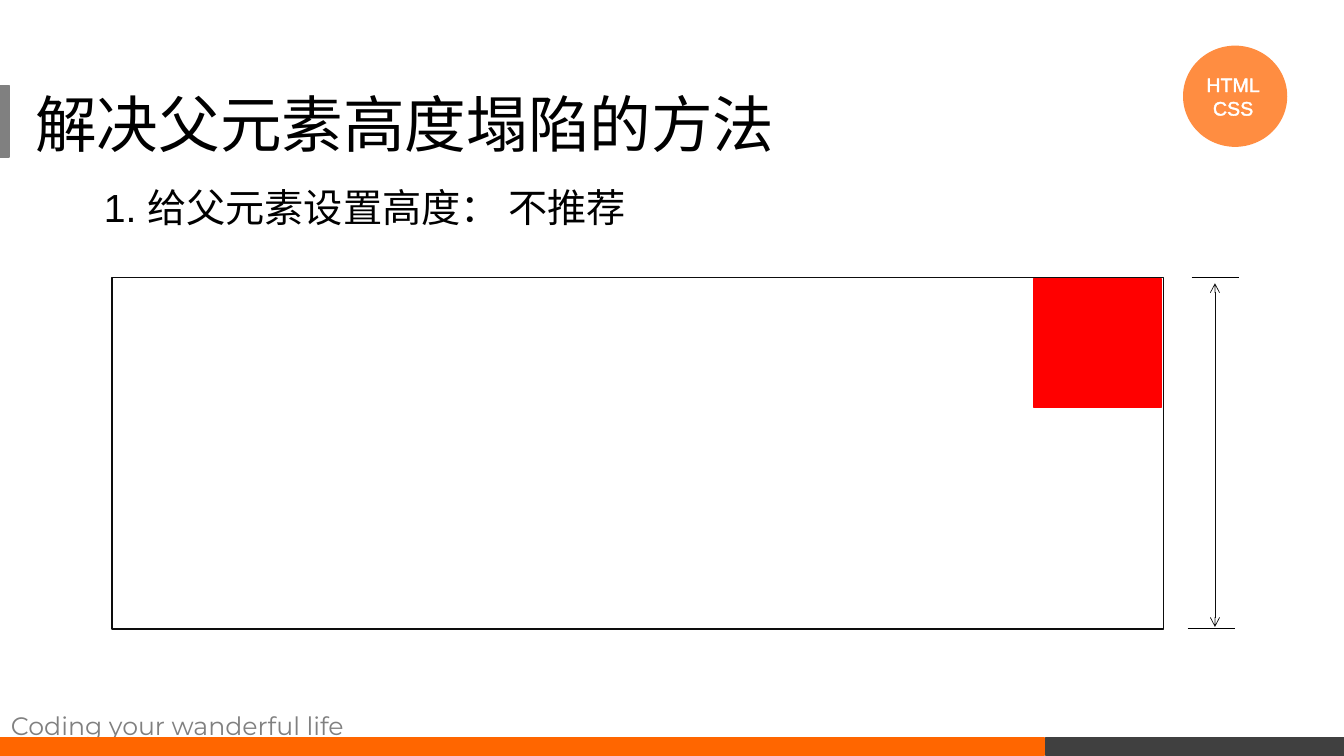
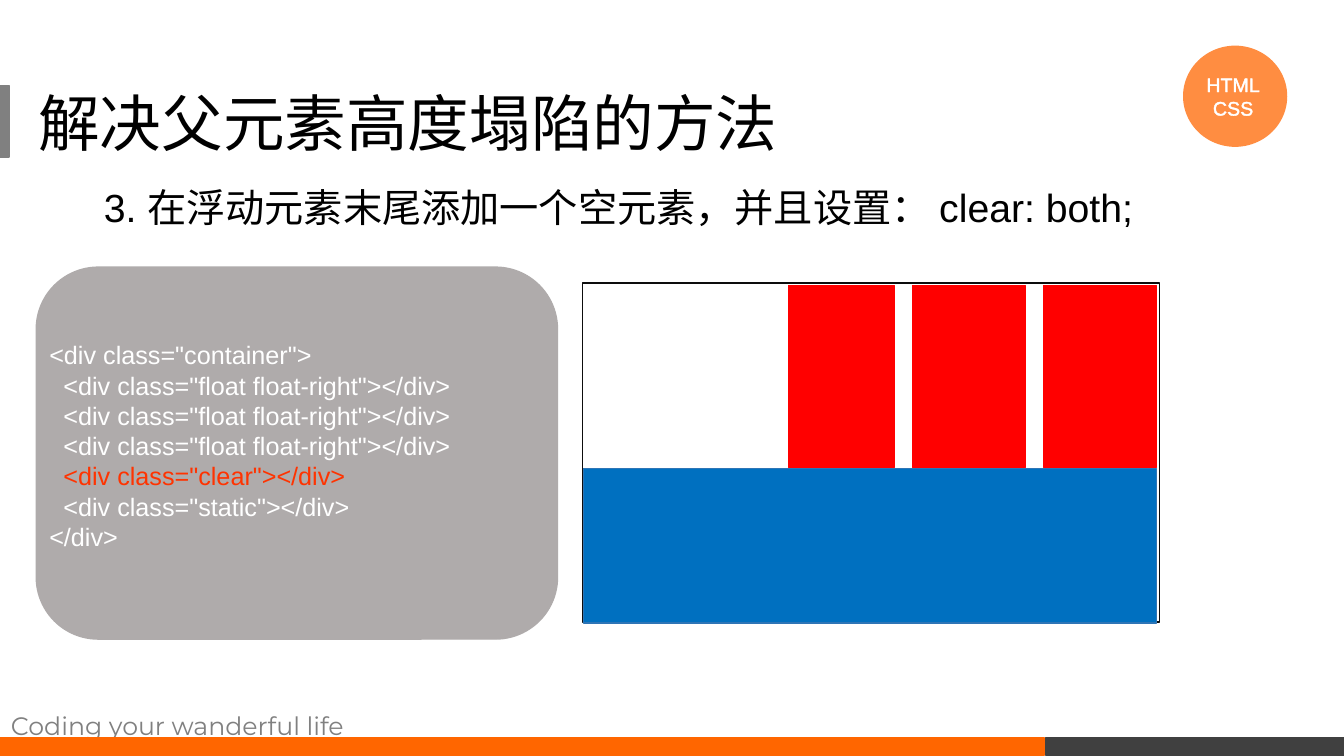
from lxml import etree
from pptx import Presentation
from pptx.dml.color import RGBColor
from pptx.enum.shapes import MSO_CONNECTOR, MSO_SHAPE
from pptx.enum.text import MSO_ANCHOR, MSO_AUTO_SIZE, PP_ALIGN
from pptx.oxml.ns import qn
from pptx.util import Inches, Pt

RECTANGLE, ELLIPSE, ROUNDED = MSO_SHAPE.RECTANGLE, MSO_SHAPE.OVAL, MSO_SHAPE.ROUNDED_RECTANGLE
STRAIGHT = MSO_CONNECTOR.STRAIGHT
TOP, BOTTOM = MSO_ANCHOR.TOP, MSO_ANCHOR.BOTTOM
LEFT, CENTER = PP_ALIGN.LEFT, PP_ALIGN.CENTER
NO_FIT = MSO_AUTO_SIZE.NONE
TITLE_AND_CONTENT = 1

COLORS = {
    "white": "FFFFFF", "black": "000000", "ink": "0D0D0D", "gray": "808080",
    "charcoal": "404040", "orange": "FF6600", "badge": "FF8D41", "red": "FF0000",
    "blue": "0070C0", "blue edge": "2E75B6", "panel": "AFABAB", "highlight": "FF3300",
}
FRAME = {"word_wrap": True, "auto_size": NO_FIT, "vertical_anchor": TOP}
PARAGRAPH = {"alignment": LEFT, "line_spacing": 1.0, "space_before": Pt(0), "space_after": Pt(0)}
TITLE = "解决父元素高度塌陷的方法"
CODE_INDENT = 0.14


def rgb(name):
    """Return the named colour."""
    return RGBColor.from_string(COLORS[name])


def apply(target, values):
    """Set each attribute of target from a dict."""
    for name, value in values.items():
        setattr(target, name, value)


class Slides:
    """Hold the deck, its style and the current page."""

    def __init__(self):
        """Start a widescreen deck."""
        self.deck = Presentation()
        apply(self.deck, {"slide_width": Inches(13.33), "slide_height": Inches(7.5)})
        self.page = None

    def new_page(self, item, item_width, title_place, title_format):
        """Add a page with title, list item and shared decoration."""
        layout = self.deck.slide_layouts[TITLE_AND_CONTENT]
        self.page = self.deck.slides.add_slide(layout)
        title, body = self.page.placeholders
        self.place(title, title_place)
        self.set_text(title, [TITLE], 44, inset=0.37, **title_format)
        self.place(body, (0.93, 1.77, item_width, 0.57))
        self.set_text(body, [item], 28)
        self.decorate()

    def decorate(self):
        """Draw the footer, bands, title marker and topic badge."""
        footer = self.text((0.01, 6.64, 5.02, 0.88), ["Coding your wanderful life"], 18,
                           color="gray", font="Montserrat", anchor=BOTTOM)
        footer.text_frame.margin_bottom = Inches(0.17)
        self.shape((-0.02, 7.32, 10.38, 0.17), "orange")
        self.shape((10.37, 7.32, 2.97, 0.17), "charcoal")
        self.shape((-0.02, 0.85, 0.11, 0.71), "gray")
        self.shape((11.74, 0.46, 1.02, 0.99), "badge", kind=ELLIPSE)
        badge = self.text((11.82, 0.67, 0.82, 0.57), ["HTML", "CSS"], 14,
                          color="white", alignment=CENTER)
        for para in badge.text_frame.paragraphs:
            self.outline(para.runs[0], "white")

    def place(self, box, place):
        """Move and size a box, in inches."""
        apply(box, dict(zip(("left", "top", "width", "height"), map(Inches, place))))

    def set_text(self, box, lines, size, color="black", font="Arial", anchor=TOP,
                 inset=0.1, **paragraph_format):
        """Fill a box with one unbulleted paragraph per line."""
        frame = box.text_frame
        apply(frame, {**FRAME, "vertical_anchor": anchor, "margin_left": Inches(inset)})
        for number, line in enumerate(lines):
            para = frame.add_paragraph() if number else frame.paragraphs[0]
            apply(para, {**PARAGRAPH, **paragraph_format})
            self.indent(para, 0)
            span = para.add_run()
            span.text = line
            apply(span.font, {"size": Pt(size), "name": font})
            span.font.color.rgb = rgb(color)

    def indent(self, para, depth):
        """Set the left indent of a paragraph and switch bullets off."""
        properties = para._p.get_or_add_pPr()
        properties.set("marL", str(Inches(depth)))
        properties.set("indent", "0")
        if properties.find(qn("a:buNone")) is None:
            etree.SubElement(properties, qn("a:buNone"))

    def outline(self, span, color):
        """Give the letters of a span a thin outline."""
        line = etree.Element(qn("a:ln"), w=str(Pt(0.75)))
        fill = etree.SubElement(line, qn("a:solidFill"))
        etree.SubElement(fill, qn("a:srgbClr"), val=COLORS[color])
        span.font._element.insert(0, line)

    def text(self, place, lines, size, **style):
        """Add a text box."""
        box = self.page.shapes.add_textbox(*map(Inches, place))
        self.set_text(box, lines, size, **style)
        return box

    def shape(self, place, fill, edge=None, kind=RECTANGLE):
        """Add a filled shape with a one-point edge."""
        box = self.page.shapes.add_shape(kind, *map(Inches, place))
        box.shadow.inherit = False
        box.fill.solid()
        box.fill.fore_color.rgb = rgb(fill)
        box.line.color.rgb = rgb(edge or fill)
        box.line.width = Pt(1)

    def line(self, start, end, color="black", arrows=False):
        """Add a thin line, with arrowheads at both ends if asked."""
        line = self.page.shapes.add_connector(STRAIGHT, *map(Inches, start + end))
        line.line.color.rgb = rgb(color)
        line.line.width = Pt(0.5)
        if arrows:
            for tag in ("a:headEnd", "a:tailEnd"):
                etree.SubElement(line.line._get_or_add_ln(), qn(tag), type="arrow")
        etree.SubElement(line._element.spPr, qn("a:effectLst"))

    def code(self, place, lines):
        """Add a code listing from (depth, text, colour) lines."""
        box = self.text(place, [text for _, text, _ in lines], 18)
        for para, (depth, _, color) in zip(box.text_frame.paragraphs, lines):
            self.indent(para, depth * CODE_INDENT)
            para.runs[0].font.color.rgb = rgb(color)


def fixed_height_page(slides):
    """Show a parent box with a fixed height."""
    slides.new_page("1. 给父元素设置高度： 不推荐", 10.03, (-0.02, 0.46, 10, 1.18),
                    {"anchor": BOTTOM, "line_spacing": 1.3})
    slides.line((12.05, 2.81), (12.05, 6.22), "ink", arrows=True)
    for left, top in ((11.82, 2.75), (11.78, 6.23)):
        slides.line((left, top), (left + 0.47, top))
    slides.shape((1.11, 2.75, 10.43, 3.49), "white", "ink")
    slides.shape((10.25, 2.77, 1.27, 1.27), "red")


def clear_element_page(slides):
    """Show floats followed by a clearing element."""
    slides.new_page("3. 在浮动元素末尾添加一个空元素，并且设置： clear: both;", 11.04,
                    (0.01, 0.79, 11.28, 0.84), {})
    slides.shape((5.78, 2.81, 5.72, 3.36), "white", "ink")
    for left, width in ((10.35, 1.12), (9.05, 1.12), (7.82, 1.05)):
        slides.shape((left, 2.83, width, 1.81), "red")
    slides.shape((5.79, 4.65, 5.68, 1.53), "blue", "blue edge")
    slides.shape((0.36, 2.65, 5.17, 3.69), "panel", kind=ROUNDED)
    floats = [(1, '<div class="float float-right"></div>', "white")] * 3
    slides.code((0.39, 3.32, 5.15, 2.22), [
        (0, '<div class="container">', "white"),
        *floats,
        (1, '<div class="clear"></div>', "highlight"),
        (1, '<div class="static"></div>', "white"),
        (0, "</div>", "white"),
    ])


def main():
    """Build and save the deck."""
    slides = Slides()
    fixed_height_page(slides)
    clear_element_page(slides)
    slides.deck.save("out.pptx")


main()
